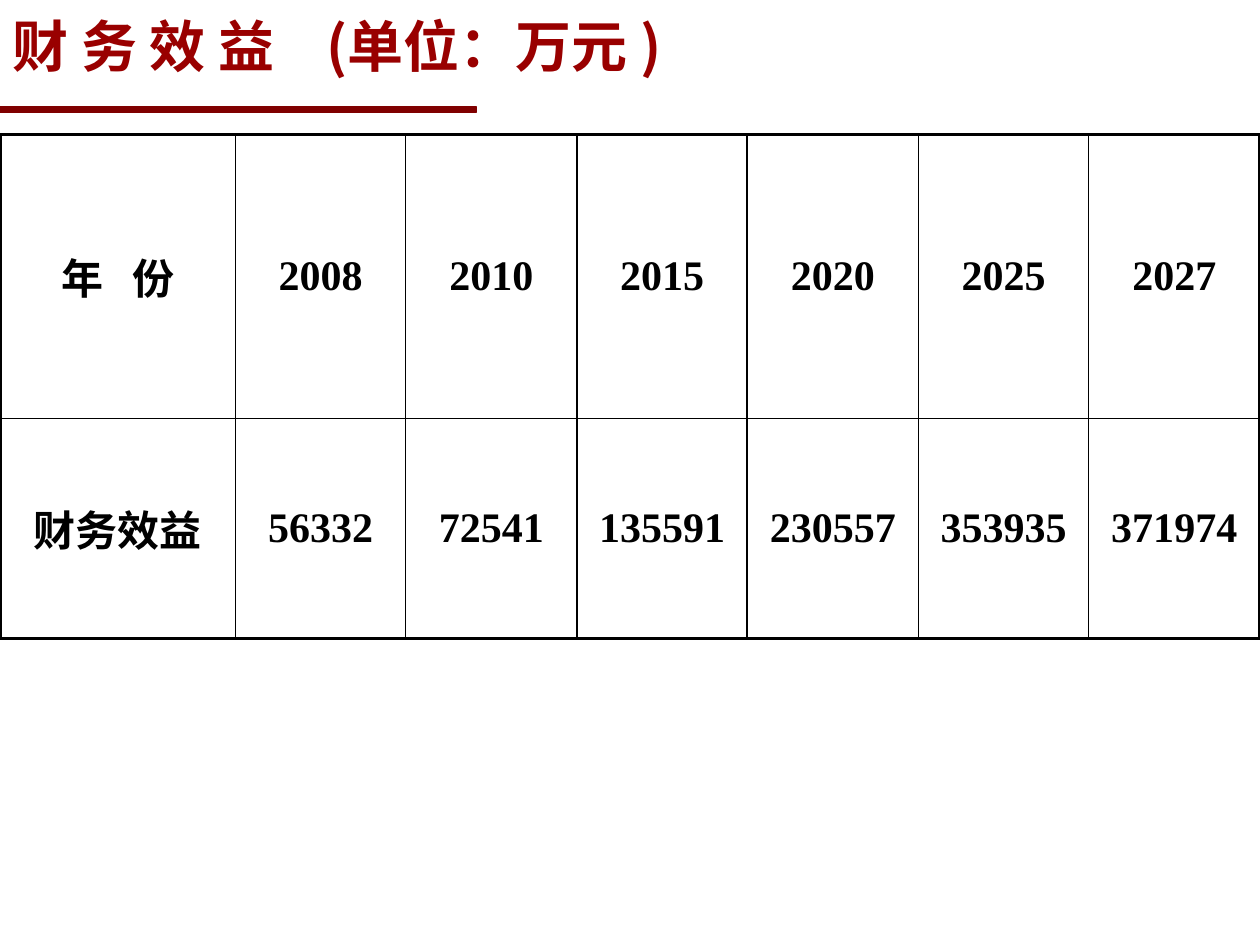
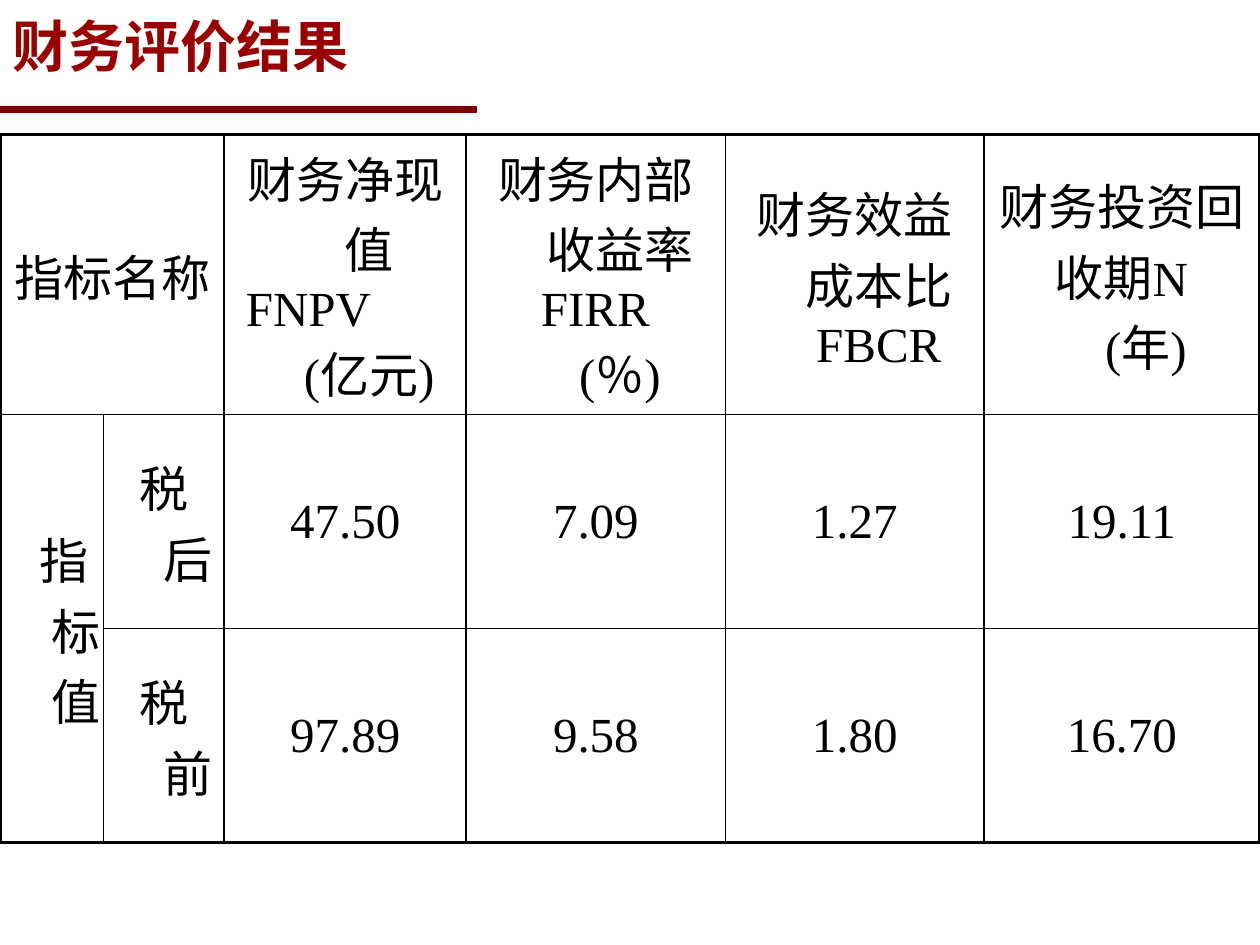
import dataclasses
import typing

import lxml.etree
import pptx
import pptx.dml.color
import pptx.enum.shapes
import pptx.enum.text
import pptx.oxml.ns
import pptx.util

Inches = pptx.util.Inches
Pt = pptx.util.Pt
RGB = pptx.dml.color.RGBColor
qn = pptx.oxml.ns.qn


@dataclasses.dataclass(frozen=True)
class Wide:
    text: str
    gap: int


Part = typing.Union[str, Wide]
Line = tuple[Part, ...]


@dataclasses.dataclass(frozen=True)
class Theme:
    title: RGB = RGB(0x99, 0x00, 0x00)
    band: RGB = RGB(0x80, 0x00, 0x00)
    text: RGB = RGB(0x00, 0x00, 0x00)
    paper: RGB = RGB(0xFF, 0xFF, 0xFF)
    asian: str = "Noto Sans CJK SC"
    latin: str = "Times New Roman"
    head: int = 32
    large: int = 28
    small: int = 24
    hang: float = 0.38
    outer: int = 2
    inner: int = 1
    plain: str = "{2D5ABB26-0587-4C30-8999-92F81FD0307C}"


@dataclasses.dataclass(frozen=True)
class Cell:
    lines: tuple[Line, ...]
    down: int = 1
    over: int = 1
    back: float = 0.38


@dataclasses.dataclass(frozen=True)
class Grid:
    cols: tuple[float, ...]
    rows: tuple[float, ...]
    cells: tuple[tuple[Cell | None, ...], ...]
    size: int
    bold: bool


@dataclasses.dataclass(frozen=True)
class Page:
    title: Line
    grid: Grid


THEME = Theme()


def one(*parts: Part) -> Cell:
    return Cell((parts,))


def row(*words: str) -> tuple[Cell, ...]:
    return tuple(one(word) for word in words)


PAGES = (
    Page(
        ("财 务 效 益", Wide(" ", 22), "(单位：万元 )"),
        Grid(
            (1.87, 1.35, 1.36, 1.35, 1.36, 1.35, 1.36),
            (2.25, 1.75),
            (
                (one("年", Wide(" ", 11), "份"),
                 *row("2008", "2010", "2015", "2020", "2025", "2027")),
                row("财务效益", "56332", "72541", "135591", "230557",
                    "353935", "371974"),
            ),
            THEME.small,
            True,
        ),
    ),
    Page(
        ("财务评价结果",),
        Grid(
            (0.82, 0.96, 1.92, 2.06, 2.05, 2.19),
            (2.22, 1.7, 1.7),
            (
                (Cell((("指标名称",),), over=2), None,
                 Cell((("财务净现值",), ("FNP", Wide("V", 42), " (亿元)"))),
                 one("财务内部收益率 FIR", Wide("R", 28), " (％)"),
                 one("财务效益成本比FBCR"),
                 one("财务投资回收期", Wide("N", 28), " (年)")),
                (Cell((("指标值",),), down=2, back=0.18),
                 *row("税后", "47.50", "7.09", "1.27", "19.11")),
                (None, *row("税前", "97.89", "9.58", "1.80", "16.70")),
            ),
            THEME.large,
            False,
        ),
    ),
)


def write(para, line: Line, size: int, face: str, color: RGB, bold: bool) -> None:
    for part in line:
        run = para.add_run()
        if isinstance(part, Wide):
            run.text = part.text
            run._r.get_or_add_rPr().set("spc", str(part.gap * 100))
        else:
            run.text = part
    font = para.font
    font.name, font.size, font.bold = face, Pt(size), bold
    font.color.rgb = color
    east = lxml.etree.Element(qn("a:ea"), typeface=THEME.asian)
    font._element.find(qn("a:latin")).addnext(east)


def border(props, side: str, width: int) -> None:
    edge = lxml.etree.SubElement(props, qn(f"a:ln{side}"), w=str(Pt(width)))
    fill = lxml.etree.SubElement(edge, qn("a:solidFill"))
    lxml.etree.SubElement(fill, qn("a:srgbClr"), val=str(THEME.text))


def draw_head(slide, title: Line) -> None:
    band = slide.shapes.add_shape(
        pptx.enum.shapes.MSO_SHAPE.RECTANGLE,
        Inches(-0.01), Inches(0.85), Inches(3.79), Inches(0.04))
    band.shadow.inherit = False
    band.fill.solid()
    band.fill.fore_color.rgb = THEME.band
    band.line.color.rgb = THEME.band
    band.line.width = Pt(0.75)
    box = slide.shapes.add_textbox(
        Inches(0), Inches(0.02), Inches(8.94), Inches(0.67))
    box.fill.solid()
    box.fill.fore_color.rgb = THEME.paper
    frame = box.text_frame
    frame.word_wrap = True
    frame.vertical_anchor = pptx.enum.text.MSO_ANCHOR.MIDDLE
    write(frame.paragraphs[0], title, THEME.head, THEME.asian, THEME.title, True)


def draw_cell(cell, item: Cell, grid: Grid, top: int, left: int) -> None:
    cell.vertical_anchor = pptx.enum.text.MSO_ANCHOR.MIDDLE
    frame = cell.text_frame
    for index, line in enumerate(item.lines):
        para = frame.add_paragraph() if index else frame.paragraphs[0]
        para.alignment = pptx.enum.text.PP_ALIGN.CENTER
        props = para._p.get_or_add_pPr()
        props.set("marL", str(Inches(THEME.hang)))
        props.set("indent", str(-Inches(item.back)))
        write(para, line, grid.size, THEME.latin, THEME.text, grid.bold)
    edges = {
        "L": left == 0,
        "R": left + item.over == len(grid.cols),
        "T": top == 0,
        "B": top + item.down == len(grid.rows),
    }
    props = cell._tc.get_or_add_tcPr()
    for side, rim in edges.items():
        border(props, side, THEME.outer if rim else THEME.inner)
    cell.fill.background()


def draw_grid(slide, grid: Grid) -> None:
    frame = slide.shapes.add_table(
        len(grid.rows), len(grid.cols), Inches(0), Inches(1.07),
        Inches(sum(grid.cols)), Inches(sum(grid.rows)))
    table = frame.table
    table.first_row = table.horz_banding = False
    table._tbl.tblPr.find(qn("a:tableStyleId")).text = THEME.plain
    for col, width in zip(table.columns, grid.cols):
        col.width = Inches(width)
    for line, height in zip(table.rows, grid.rows):
        line.height = Inches(height)
    for top, items in enumerate(grid.cells):
        for left, item in enumerate(items):
            if item is None:
                continue
            cell = table.cell(top, left)
            if item.down * item.over > 1:
                cell.merge(table.cell(top + item.down - 1, left + item.over - 1))
            draw_cell(cell, item, grid, top, left)


def main() -> None:
    deck = pptx.Presentation()
    deck.slide_width, deck.slide_height = Inches(10), Inches(7.5)
    for page in PAGES:
        slide = deck.slides.add_slide(deck.slide_layouts[6])
        draw_head(slide, page.title)
        draw_grid(slide, page.grid)
    deck.save("out.pptx")


if __name__ == "__main__":
    main()
